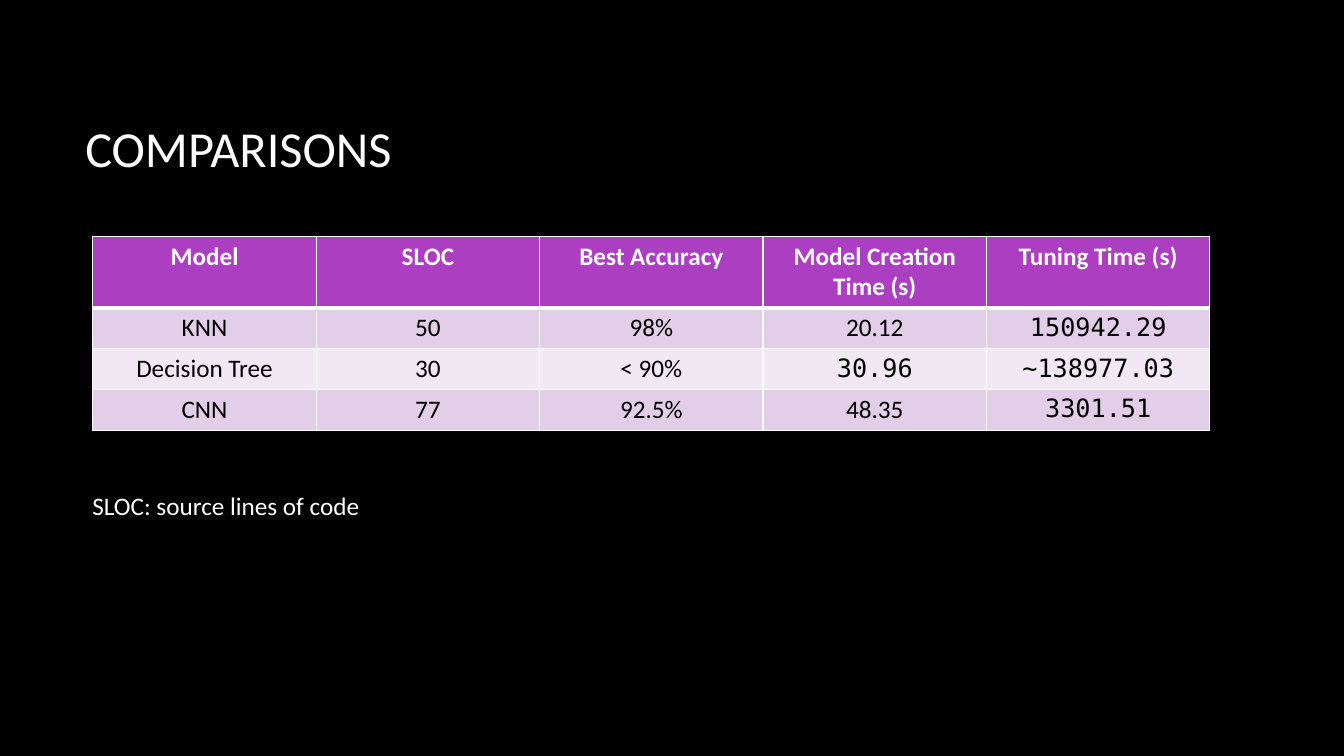
from lxml.etree import SubElement as Sub
from pptx import Presentation
from pptx.dml.color import RGBColor as Rgb
from pptx.enum.text import MSO_ANCHOR as Anchor, MSO_AUTO_SIZE as AutoSize, PP_ALIGN as Align
from pptx.oxml.ns import qn
from pptx.util import Cm, Pt

COLORS = {
    "black": "000000",
    "white": "FFFFFF",
    "header": "AC3EC1",
    "band_dark": "E3CEE9",
    "band_light": "F1E8F4",
}
SANS, MONO = "Calibri", "DejaVu Sans Mono"

HEADINGS = ["Model", "SLOC", "Best Accuracy", "Model Creation Time (s)", "Tuning Time (s)"]
MODELS = [
    ["KNN", "50", "98%", "20.12", "150942.29"],
    ["Decision Tree", "30", "< 90%", "30.96", "~138977.03"],
    ["CNN", "77", "92.5%", "48.35", "3301.51"],
]
MONO_VALUES = {"150942.29", "30.96", "~138977.03", "3301.51"}


def color(name):
    return Rgb.from_string(COLORS[name])


def write(frame, text, size=18, font=SANS, ink="white", bold=False, align=Align.LEFT):
    para = frame.paragraphs[0]
    para.alignment = align
    span = para.add_run()
    span.text = text
    span.font.size = Pt(size)
    span.font.name = font
    span.font.bold = bold
    span.font.color.rgb = color(ink)


class SlideBuilder:
    def __init__(self, deck, background):
        self.page = deck.slides.add_slide(deck.slide_layouts[6])
        fill = self.page.background.fill
        fill.solid()
        fill.fore_color.rgb = color(background)

    def text(self, text, left, top, width, height, anchor=Anchor.TOP, grow=False, **style):
        box = self.page.shapes.add_textbox(Cm(left), Cm(top), Cm(width), Cm(height))
        frame = box.text_frame
        frame.word_wrap = True
        frame.auto_size = AutoSize.SHAPE_TO_FIT_TEXT if grow else AutoSize.NONE
        frame.vertical_anchor = anchor
        write(frame, text, **style)

    def borders(self, cell, top, bottom):
        props = cell._tc.get_or_add_tcPr()
        for side, points in {"L": 1, "R": 1, "T": top, "B": bottom}.items():
            line = Sub(props, qn(f"a:ln{side}"), w=str(Pt(points)))
            Sub(Sub(line, qn("a:solidFill")), qn("a:srgbClr"), val=COLORS["white"])

    def table(self, rows, left, top, width, header_height, row_height):
        height = header_height + row_height * (len(rows) - 1)
        table = self.page.shapes.add_table(
            len(rows), len(rows[0]), Cm(left), Cm(top), Cm(width), Cm(height)).table
        for r, values in enumerate(rows):
            header = r == 0
            table.rows[r].height = Cm(header_height if header else row_height)
            fill = "header" if header else "band_dark" if r % 2 else "band_light"
            for c, value in enumerate(values):
                cell = table.cell(r, c)
                # A thick rule divides the header from the body
                self.borders(cell, top=3 if r == 1 else 1, bottom=3 if header else 1)
                cell.fill.solid()
                cell.fill.fore_color.rgb = color(fill)
                write(cell.text_frame, value, bold=header, align=Align.CENTER,
                      ink="white" if header else "black",
                      font=MONO if value in MONO_VALUES else SANS)


def main():
    deck = Presentation()
    deck.slide_width, deck.slide_height = Cm(33.87), Cm(19.05)
    slide = SlideBuilder(deck, "black")

    # Title
    slide.text("COMPARISONS", 1.9, 1.7, 28.15, 4.04, anchor=Anchor.MIDDLE, size=36)

    # Model comparison
    slide.table([HEADINGS] + MODELS, 2.34, 5.95, 28.15, header_height=1.78, row_height=1.03)

    # Explanation of the abbreviation
    slide.text("SLOC: source lines of code", 2.08, 12.24, 18.6, 1.03, grow=True)

    deck.save("out.pptx")


if __name__ == "__main__":
    main()
